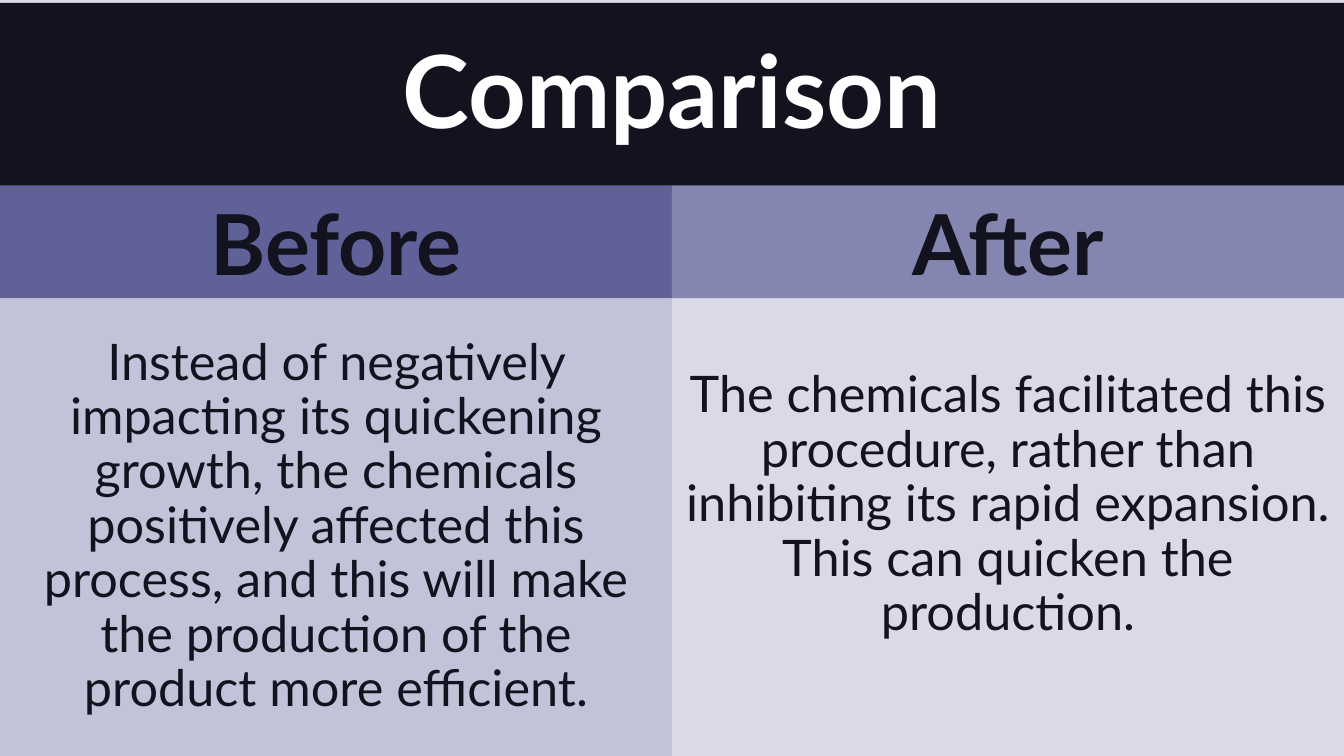
from pptx import Presentation
from pptx.dml.color import RGBColor
from pptx.enum.shapes import MSO_SHAPE
from pptx.enum.text import MSO_ANCHOR, PP_ALIGN
from pptx.util import Inches, Pt

THEME = {
    "font": "Lato",
    "ink": "13131F",
    "white": "FFFFFF",
    "background": "D9D9E7",
    "headings": ("616199", "8585B1"),
    "panels": ("C2C2D8", "D9D9E7"),
    "title_size": 72,
    "heading_size": 60,
    "body_size": 36,
}
SLIDE_WIDTH, SLIDE_HEIGHT = 13.33, 7.5
COLUMN_WIDTH = SLIDE_WIDTH / 2
TITLE_TOP, TITLE_HEIGHT = 0.03, 1.84
HEADING_TOP, BODY_TOP = 1.84, 2.96

COLUMNS = [
    ("Before",
     "Instead of negatively impacting its quickening growth, the chemicals "
     "positively affected this process, and this will make the production "
     "of the product more efficient.",
     0.05),
    ("After",
     "The chemicals facilitated this procedure, rather than inhibiting its "
     "rapid expansion. This can quicken the production.",
     0.48),
]

presentation = Presentation()
presentation.slide_width = Inches(SLIDE_WIDTH)
presentation.slide_height = Inches(SLIDE_HEIGHT)
slide = presentation.slides.add_slide(presentation.slide_layouts[6])
slide.background.fill.solid()
slide.background.fill.fore_color.rgb = RGBColor.from_string(THEME["background"])


def add_panel(text, left, top, width, height, *, fill, size, color=THEME["ink"],
              bold=False, anchor=MSO_ANCHOR.MIDDLE, bottom_inset=0.05):
    """Add a filled rectangle with centred text; lengths are in inches."""
    shape = slide.shapes.add_shape(
        MSO_SHAPE.RECTANGLE, Inches(left), Inches(top), Inches(width), Inches(height))
    shape.shadow.inherit = False
    shape.fill.solid()
    shape.fill.fore_color.rgb = RGBColor.from_string(fill)
    shape.line.fill.background()

    frame = shape.text_frame
    frame.word_wrap = True
    frame.vertical_anchor = anchor
    frame.margin_bottom = Inches(bottom_inset)
    paragraph = frame.paragraphs[0]
    paragraph.alignment = PP_ALIGN.CENTER
    paragraph.line_spacing = 0.9
    run = paragraph.add_run()
    run.text = text
    run.font.name = THEME["font"]
    run.font.size = Pt(size)
    run.font.bold = bold
    run.font.color.rgb = RGBColor.from_string(color)


add_panel("Comparison", 0, TITLE_TOP, SLIDE_WIDTH, TITLE_HEIGHT, fill=THEME["ink"],
          size=THEME["title_size"], color=THEME["white"], bold=True)

for index, (heading, body, bottom_inset) in enumerate(COLUMNS):
    left = index * COLUMN_WIDTH
    add_panel(heading, left, HEADING_TOP, COLUMN_WIDTH, BODY_TOP - HEADING_TOP,
              fill=THEME["headings"][index], size=THEME["heading_size"],
              bold=True, anchor=MSO_ANCHOR.BOTTOM)
    add_panel(body, left, BODY_TOP, COLUMN_WIDTH, SLIDE_HEIGHT - BODY_TOP,
              fill=THEME["panels"][index], size=THEME["body_size"],
              bottom_inset=bottom_inset)

presentation.save("out.pptx")
